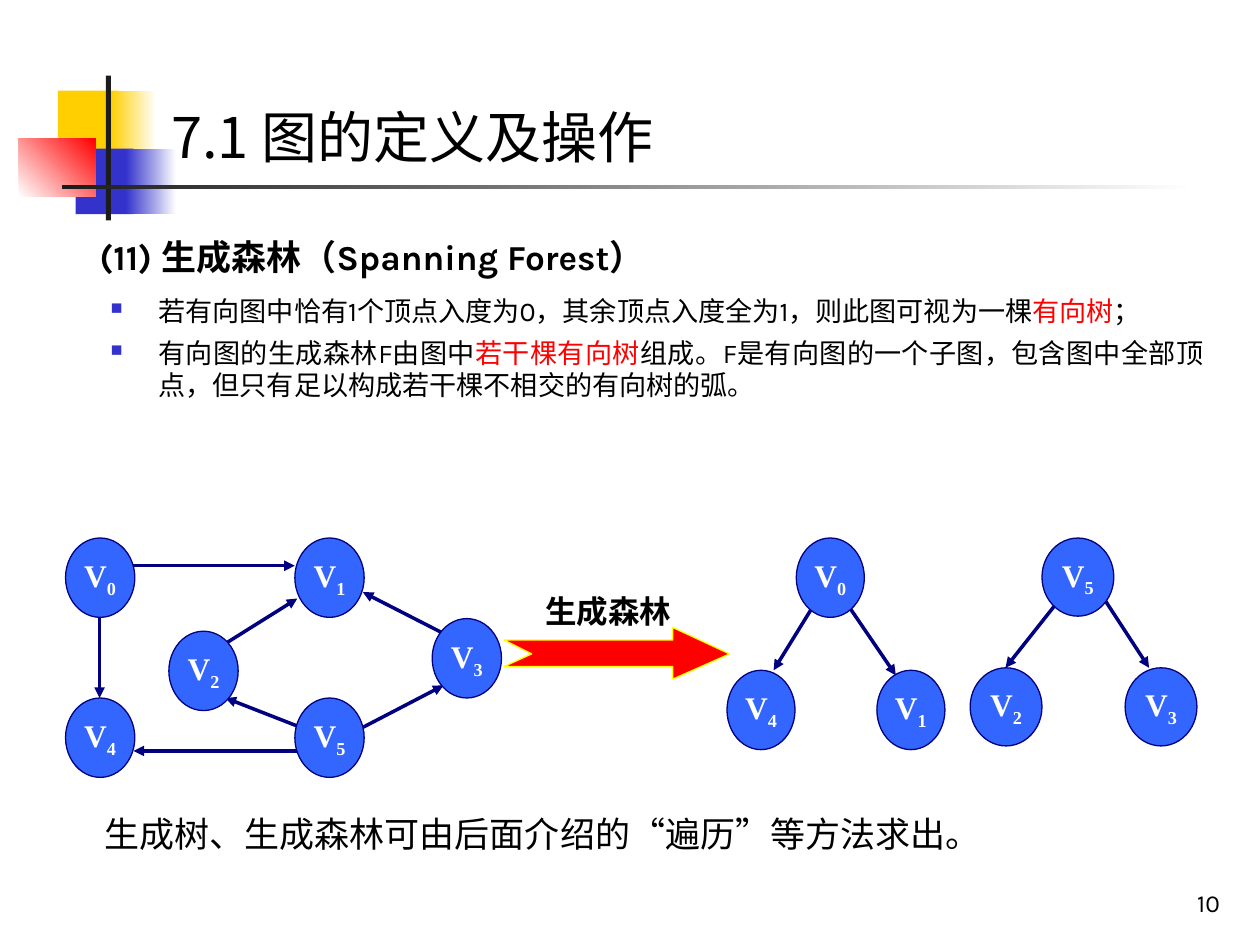
from lxml.etree import SubElement
from pptx import Presentation
from pptx.dml.color import RGBColor
from pptx.enum.shapes import MSO_CONNECTOR, MSO_SHAPE
from pptx.enum.text import MSO_ANCHOR, PP_ALIGN
from pptx.oxml.ns import qn
from pptx.util import Inches, Pt

# Content
TITLE = "7.1 图的定义及操作"
HEADING = "(11) 生成森林（Spanning Forest）"
BULLETS = [
    [("若有向图中恰有1个顶点入度为0，其余顶点入度全为1，则此图可视为一棵", "000000"),
     ("有向树", "FF0000"), ("；", "000000")],
    [("有向图的生成森林F由图中", "000000"), ("若干棵有向树", "FF0000"),
     ("组成。F是有向图的一个子图，包含图中全部顶点，但只有足以构成若干棵不相交的有向树的弧。",
      "000000")],
]
CLOSING = [("生成树、生成森林可由后面介绍的", "Karla"), ("“", "Arial"), ("遍历", "Karla"),
           ("”", "Arial"), ("等方法求出。", "Karla")]
ARROW_LABEL = "生成森林"
PAGE_NUMBER = "10"

# Each graph: node size, nodes (index, left, top), edges (start, arrow tip)
GRAPHS = [
    ((0.55, 0.63),
     [(0, 0.52, 4.27), (1, 2.34, 4.27), (2, 1.34, 5.01),
      (3, 3.43, 4.91), (4, 0.52, 5.54), (5, 2.34, 5.54)],
     [((2.52, 5.96), (1.06, 5.96)), ((0.88, 4.49), (2.34, 4.49)),
      ((0.79, 4.59), (0.79, 5.54)), ((1.61, 5.22), (2.36, 4.75)),
      ((3.7, 5.12), (2.88, 4.7)), ((2.61, 5.86), (1.79, 5.54)),
      ((2.52, 5.96), (3.52, 5.44))]),
    ((0.54, 0.63),
     [(0, 6.32, 4.27), (1, 6.96, 5.32), (4, 5.77, 5.32)],
     [((6.68, 4.73), (7.11, 5.36)), ((6.59, 4.59), (6.14, 5.32))]),
    ((0.57, 0.62),
     [(5, 8.27, 4.27), (2, 7.7, 5.3), (3, 8.93, 5.3)],
     [((8.55, 4.58), (7.98, 5.3)), ((8.65, 4.58), (9.12, 5.3))]),
]
ARROW_OUTLINE = [(4, 5.08), (5.34, 5.08), (5.34, 4.98), (5.79, 5.19),
                 (5.34, 5.39), (5.34, 5.29), (4, 5.29), (4.22, 5.19)]

# Corner decoration: position, colours (two make a gradient), angle
DECORATION = [
    ((0.46, 0.72, 0.48, 0.52), ["FFCF01"], 0),
    ((0.88, 0.72, 0.36, 0.52), ["FFCF01", "FFFFFF"], 0),
    ((0.6, 1.18, 0.46, 0.52), ["3333CC"], 0),
    ((1, 1.18, 0.4, 0.52), ["3333CC", "FFFFFF"], 0),
    ((0.15, 1.1, 0.61, 0.46), ["FFFFFF", "FF0000"], 45),
    ((0.84, 0.6, 0.04, 1.15), ["1C1C1C"], 0),
    ((0.49, 1.47, 9, 0.03), ["1C1C1C", "FFFFFF"], 0),
]


def color(hex_code):
    return RGBColor.from_string(hex_code)


def inches(values):
    return [Inches(value) for value in values]


def style_shape(shape, fill, line=None):
    shape.shadow.inherit = False
    shape.fill.solid()
    shape.fill.fore_color.rgb = color(fill)
    if line:
        shape.line.color.rgb = color(line)
        shape.line.width = Pt(0.75)
    else:
        shape.line.fill.background()


def add_run(paragraph, text, size, hex_code="000000", name="Karla", bold=False):
    run = paragraph.add_run()
    run.text = text
    font = run.font
    font.size, font.bold, font.name = Pt(size), bold, name
    font.color.rgb = color(hex_code)
    SubElement(font._element, qn("a:ea"), typeface="Noto Sans CJK JP")
    return run


def add_text_box(position, anchor=MSO_ANCHOR.TOP):
    frame = slide.shapes.add_textbox(*inches(position)).text_frame
    frame.word_wrap = True
    frame.vertical_anchor = anchor
    return frame


def format_body(paragraph, line_spacing, bullet=False):
    paragraph.alignment = PP_ALIGN.JUSTIFY
    paragraph.line_spacing = line_spacing
    properties = paragraph._p.get_or_add_pPr()
    properties.set("marL", str(Inches(0.38)))
    properties.set("indent", str(-Inches(0.38)))
    if bullet:
        bullet_color = SubElement(properties, qn("a:buClr"))
        SubElement(bullet_color, qn("a:srgbClr"), val="3333CC")
        SubElement(properties, qn("a:buSzPct"), val="60000")
        SubElement(properties, qn("a:buChar"), char="■")


def add_edge(start, tip):
    connector = slide.shapes.add_connector(MSO_CONNECTOR.STRAIGHT, *inches(start + tip))
    connector.line.color.rgb = color("000080")
    connector.line.width = Pt(2)
    SubElement(connector.line._get_or_add_ln(), qn("a:tailEnd"), type="triangle")
    SubElement(connector._element.spPr, qn("a:effectLst"))


def add_node(index, position):
    node = slide.shapes.add_shape(MSO_SHAPE.OVAL, *inches(position))
    style_shape(node, "3366FF", "000080")
    frame = node.text_frame
    frame.word_wrap = False
    frame.vertical_anchor = MSO_ANCHOR.MIDDLE
    paragraph = frame.paragraphs[0]
    paragraph.alignment = PP_ALIGN.CENTER
    for text in ("V", str(index)):
        run = add_run(paragraph, text, 18, "FFFFFF", "Times New Roman", True)
    run.font._element.set("baseline", "-25000")


presentation = Presentation()
presentation.slide_width, presentation.slide_height = Inches(10), Inches(7.5)
slide = presentation.slides.add_slide(presentation.slide_layouts[5])

# Corner decoration
for position, colors, angle in DECORATION:
    shape = slide.shapes.add_shape(MSO_SHAPE.RECTANGLE, *inches(position))
    style_shape(shape, colors[0])
    if len(colors) == 2:
        shape.fill.gradient()
        shape.fill.gradient_angle = angle
        for stop, hex_code in zip(shape.fill.gradient_stops, colors):
            stop.color.rgb = color(hex_code)

# Title, kept in front of the decoration
title = slide.shapes.title
slide.shapes._spTree.append(title._element)
title.left, title.top, title.width, title.height = inches((1.26, 0.76, 8.74, 0.64))
title.text_frame.vertical_anchor = MSO_ANCHOR.MIDDLE
title_paragraph = title.text_frame.paragraphs[0]
title_paragraph.alignment = PP_ALIGN.LEFT
add_run(title_paragraph, TITLE, 32, name="Noto Sans CJK JP")

# Heading and bullets
heading = add_text_box((0.69, 1.75, 7.87, 0.58)).paragraphs[0]
format_body(heading, 1.2)
add_run(heading, HEADING, 20, bold=True)

bullet_frame = add_text_box((0.78, 2.29, 8.87, 1.09))
for number, runs in enumerate(BULLETS):
    paragraph = bullet_frame.add_paragraph() if number else bullet_frame.paragraphs[0]
    if number:
        paragraph.space_before = Pt(5)
    format_body(paragraph, 1.0, bullet=True)
    for text, hex_code in runs:
        add_run(paragraph, text, 15.5, hex_code)

# Graph and its spanning forest
for size, nodes, edges in GRAPHS:
    for start, tip in edges:
        add_edge(start, tip)
    for index, left, top in nodes:
        add_node(index, (left, top) + size)

# Block arrow with its label
builder = slide.shapes.build_freeform(*inches(ARROW_OUTLINE[0]))
builder.add_line_segments([inches(point) for point in ARROW_OUTLINE[1:]], close=True)
style_shape(builder.convert_to_shape(), "FF0000", "FFFF00")
label = add_text_box((4.23, 4.65, 1.33, 0.4), MSO_ANCHOR.BOTTOM).paragraphs[0]
add_run(label, ARROW_LABEL, 18, bold=True)

# Closing remark and page number
closing = add_text_box((0.73, 6.33, 8.87, 0.62)).paragraphs[0]
format_body(closing, 1.2)
for text, name in CLOSING:
    add_run(closing, text, 20, name=name)

page = add_text_box((7.7, 6.83, 2.08, 0.5), MSO_ANCHOR.BOTTOM).paragraphs[0]
page.alignment = PP_ALIGN.RIGHT
add_run(page, PAGE_NUMBER, 14)

presentation.save("out.pptx")
